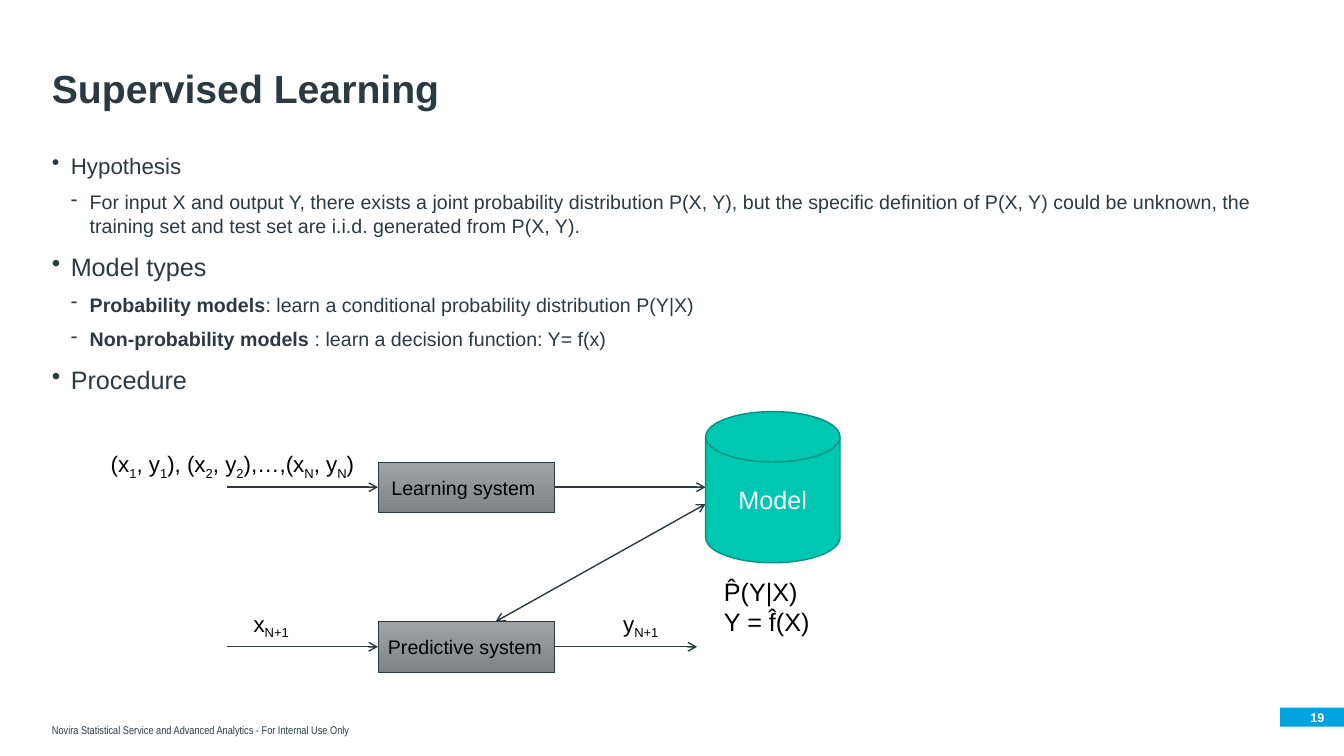
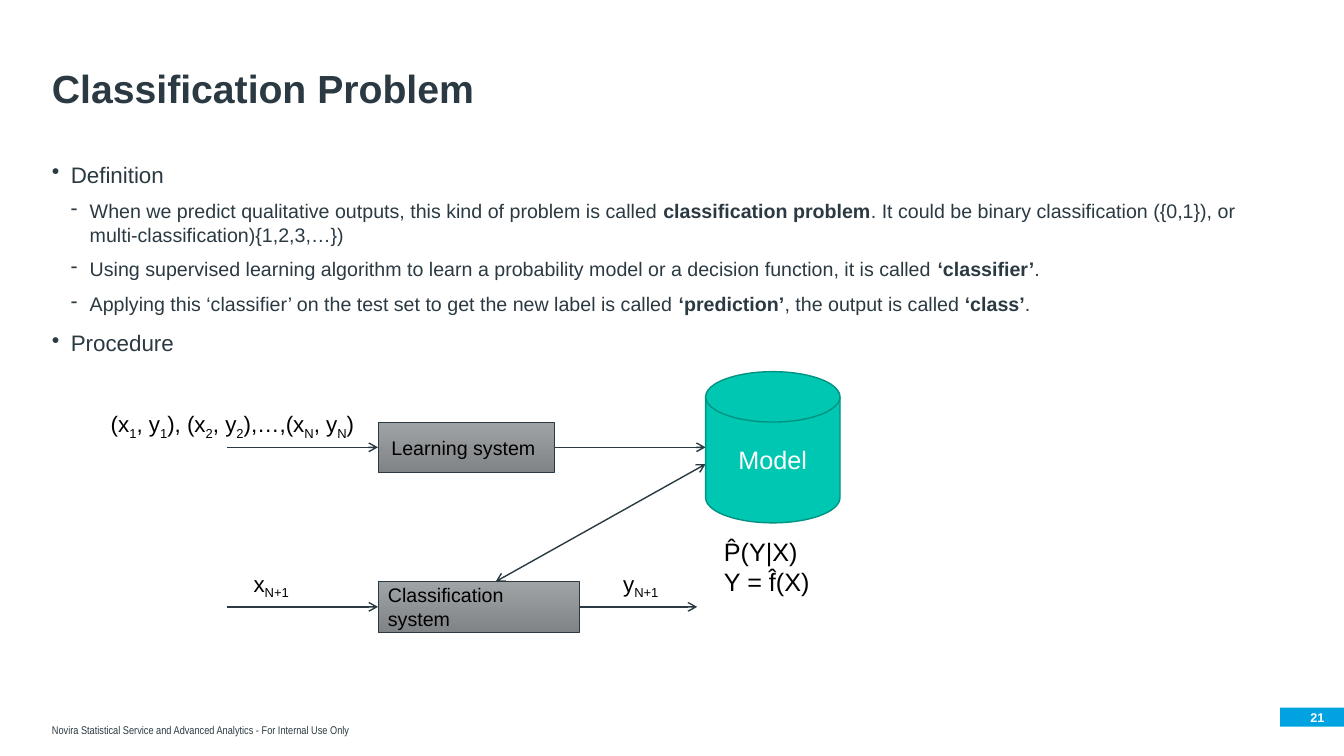
import pptx
import pptx.dml.color
import pptx.enum.shapes
import pptx.enum.text
import pptx.oxml
import pptx.oxml.ns
import pptx.util

Pt = pptx.util.Pt
Shapes = pptx.enum.shapes.MSO_SHAPE
Align = pptx.enum.text.PP_ALIGN
Anchor = pptx.enum.text.MSO_ANCHOR

INK, BLACK, WHITE = "2B3A42", "000000", "FFFFFF"
BLUE, TEAL, DARK_TEAL = "00A3E0", "00C7B1", "009383"
LIGHT_GRAY, DARK_GRAY = "A0A3A5", "808487"
INDENT = 13.5
SUBSCRIPT, BOLD = "_", "**"


def color(hex_value):
    return pptx.dml.color.RGBColor.from_string(hex_value)


def add_element(parent, tag, **attributes):
    element = pptx.oxml.ns.qn("a:" + tag)
    child = parent.makeelement(element, attributes)
    parent.append(child)
    return child


# Text: pieces between bold or subscript marks become runs of their own
def add_runs(paragraph, text, size, hex_value, font="Arial", bold=False):
    mark = BOLD if BOLD in text else SUBSCRIPT
    for index, piece in enumerate(text.split(mark)):
        if not piece:
            continue
        marked = index % 2 == 1
        run = paragraph.add_run()
        run.text = piece
        run.font.name = font
        run.font.size = Pt(size)
        run.font.color.rgb = color(hex_value)
        run.font.bold = bold or (marked and mark == BOLD)
        if marked and mark == SUBSCRIPT:
            run.font._element.set("baseline", "-25000")


def write(shape, lines, size, hex_value, anchor=Anchor.TOP, align=Align.LEFT,
          **style):
    frame = shape.text_frame
    frame.word_wrap = True
    frame.vertical_anchor = anchor
    for index, line in enumerate(lines):
        paragraph = frame.add_paragraph() if index else frame.paragraphs[0]
        paragraph.alignment = align
        add_runs(paragraph, line, size, hex_value, **style)
    return frame


def add_label(slide, box, lines, size, hex_value=BLACK, **style):
    shape = slide.shapes.add_textbox(*map(Pt, box))
    return write(shape, lines, size, hex_value, **style)


def add_block(slide, kind, box, fill, line=None, line_width=1):
    shape = slide.shapes.add_shape(kind, *map(Pt, box))
    shape.shadow.inherit = False
    if isinstance(fill, tuple):
        shape.fill.gradient()
        shape.fill.gradient_angle = 270
        for stop, hex_value in zip(shape.fill.gradient_stops, fill):
            stop.color.rgb = color(hex_value)
    else:
        shape.fill.solid()
        shape.fill.fore_color.rgb = color(fill)
    if line:
        shape.line.color.rgb = color(line)
        shape.line.width = Pt(line_width)
    else:
        shape.line.fill.background()
    return shape


def add_arrow(slide, start, end, both_ends=False):
    arrow = slide.shapes.add_connector(
        pptx.enum.shapes.MSO_CONNECTOR.STRAIGHT, *map(Pt, start + end))
    arrow.line.color.rgb = color(INK)
    arrow.line.width = Pt(1)
    line = arrow.line._get_or_add_ln()
    if both_ends:
        add_element(line, "headEnd", type="arrow")
    add_element(line, "tailEnd", type="arrow")
    add_element(arrow._element.spPr, "effectLst")


# Title, footer and page number shared by all slides
def add_frame(slide, title, number):
    frame = add_label(slide, (30, 23, 893, 60.5), [title], 28, INK,
                      anchor=Anchor.BOTTOM, bold=True)
    frame.paragraphs[0].line_spacing = 0.9
    footer = add_block(slide, Shapes.RECTANGLE, (30, 503.3, 718, 26.6), WHITE)
    write(footer, ["Novira Statistical Service and Advanced Analytics"
                   " - For Internal Use Only"],
          8, INK, anchor=Anchor.BOTTOM, font="Arial Narrow")
    left, top, width, height = 914.4, 505.4, 45.6, 13.7
    add_block(slide, Shapes.RECTANGLE, (left, top, width, height), BLUE)
    frame = add_label(slide, (left, top, width - 14, height), [str(number)], 9,
                      WHITE, anchor=Anchor.MIDDLE, align=Align.RIGHT, bold=True)
    frame.margin_left = frame.margin_right = 0
    frame.margin_top = frame.margin_bottom = 0


# Two-level bullet list: each item is (level, size, text)
def add_bullets(slide, box, items):
    frame = slide.shapes.add_textbox(*map(Pt, box)).text_frame
    frame.word_wrap = True
    for index, (level, size, text) in enumerate(items):
        paragraph = frame.add_paragraph() if index else frame.paragraphs[0]
        paragraph.level = level
        properties = paragraph._p.get_or_add_pPr()
        properties.set("marL", str(Pt(INDENT * (level + 1))))
        properties.set("indent", str(-Pt(INDENT)))
        if index:
            paragraph.space_before = Pt(8 if level else 10)
        add_element(properties, "buChar", char="-" if level else "•")
        add_runs(paragraph, text, size, INK)


# Procedure diagram, placed from its top left corner
def add_procedure(slide, left, top, system, system_width):
    def at(x, y, *size):
        return (left + x, top + y) + size

    box_left, box_width, box_height = 198, 126, 36
    model_left, learn_top, apply_top = 432, 36, 150
    learn_middle = learn_top + box_height / 2
    apply_middle = apply_top + box_height / 2

    # Arrows
    for start, end, y in ((90, box_left, learn_middle),
                          (box_left + box_width, model_left, learn_middle),
                          (90, box_left, apply_middle),
                          (318, 426, apply_middle)):
        add_arrow(slide, at(start, y), at(end, y))
    add_arrow(slide, at(model_left, 66), at(282, apply_top), both_ends=True)

    # Systems and model
    for text, y, width, align in (
            ("Learning system ", learn_top, box_width, Align.CENTER),
            (system, apply_top, system_width, Align.LEFT)):
        block = add_block(slide, Shapes.RECTANGLE,
                          at(box_left, y, width, box_height),
                          (LIGHT_GRAY, DARK_GRAY), INK, 0.5)
        write(block, [text], 14, BLACK, Anchor.MIDDLE, align)
    model = add_block(slide, Shapes.FLOWCHART_MAGNETIC_DISK,
                      at(model_left, 0, 96, 108), TEAL, DARK_TEAL)
    write(model, ["Model"], 18, WHITE, Anchor.MIDDLE, Align.CENTER)

    # Labels
    add_label(slide, at(0, 24, 204, 48),
              ["(x_1_, y_1_), (x_2_, y_2_),…,(x_N_, y_N_)"], 16)
    add_label(slide, at(438, 114, 96, 48), ["P̂(Y|X)", "Y = f̂(X)"], 18)
    for text, x in (("x_N+1_", 102), ("y_N+1_", 366)):
        add_label(slide, at(x, 138, 90, 36), [text], 16)


SLIDES = [
    dict(title="Supervised Learning", number=19, body_top=105, diagram_top=294,
         system="Predictive system", system_width=126, items=[
             (0, 16, "Hypothesis"),
             (1, 14, "For input X and output Y, there exists a joint probability "
                     "distribution P(X, Y), but the specific definition of "
                     "P(X, Y) could be unknown, the training set and test set "
                     "are i.i.d. generated from P(X, Y)."),
             (0, 18, "Model types"),
             (1, 14, "**Probability models**: learn a conditional probability "
                     "distribution P(Y|X)"),
             (1, 14, "**Non-probability models **: learn a decision function: "
                     "Y= f(x)"),
             (0, 18, "Procedure")]),
    dict(title="Classification Problem", number=21, body_top=111.5,
         diagram_top=265.5, system="Classification system", system_width=144,
         items=[
             (0, 16, "Definition"),
             (1, 14, "When we predict qualitative outputs, this kind of problem "
                     "is called **classification problem**. It could be binary "
                     "classification ({0,1}), or multi-classification){1,2,3,…})"),
             (1, 14, "Using supervised learning algorithm to learn a probability "
                     "model or a decision function, it is called "
                     "**‘classifier’**."),
             (1, 14, "Applying this ‘classifier’ on the test set to get the new "
                     "label is called **‘prediction’**, the output is called "
                     "**‘class’**."),
             (0, 16, "Procedure")]),
]


def main():
    presentation = pptx.Presentation()
    presentation.slide_width, presentation.slide_height = Pt(960), Pt(540)
    for content in SLIDES:
        slide = presentation.slides.add_slide(presentation.slide_layouts[6])
        add_frame(slide, content["title"], content["number"])
        add_bullets(slide, (30, content["body_top"], 893, 349), content["items"])
        add_procedure(slide, 72, content["diagram_top"], content["system"],
                      content["system_width"])
    presentation.save("out.pptx")


if __name__ == "__main__":
    main()
